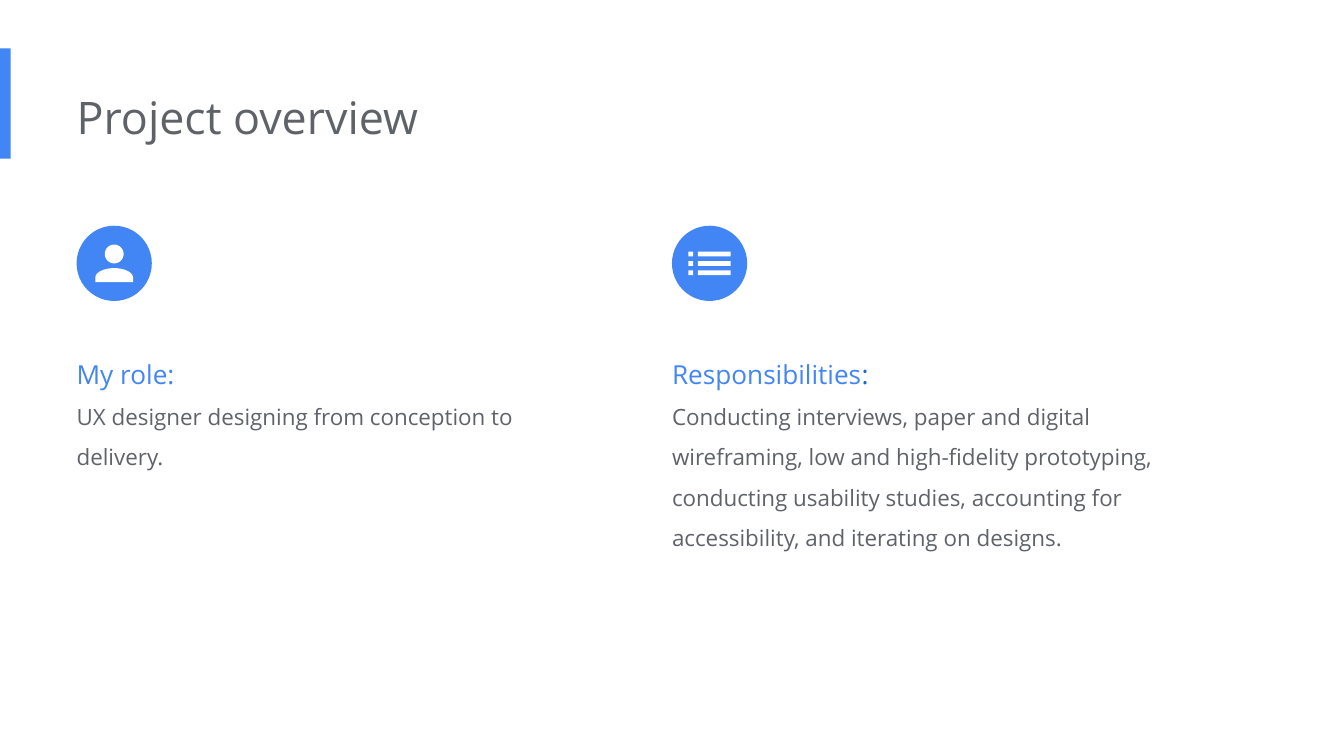
import math

import pptx
import pptx.dml.color
import pptx.enum.shapes
import pptx.enum.text
import pptx.util
from lxml import etree

COLORS = {"blue": "4285F4", "deep_blue": "1967D2", "gray": "5F6368", "white": "FFFFFF"}
FONT = "Open Sans"
SLIDE_W = 10
SLIDE_H = SLIDE_W * 9 / 16
MARGIN = 0.57
COLUMN_LEFTS = (MARGIN, SLIDE_W / 2)
COLUMN_W = 3.77
ICON_TOP, ICON_SIZE, ICON_GRID = 1.68, 0.56, 32
TEXT_TOP = 2.45
DRAWING_NS = "http://schemas.openxmlformats.org/drawingml/2006/main"


def inches(*lengths):
    """Convert several lengths in inches."""
    return [pptx.util.Inches(length) for length in lengths]


def rgb(color):
    """Look up a named colour."""
    return pptx.dml.color.RGBColor.from_string(COLORS[color])


def paint(shape, color):
    """Give a shape a flat fill without outline or shadow."""
    shape.fill.solid()
    shape.fill.fore_color.rgb = rgb(color)
    shape.line.fill.background()
    shape.shadow.inherit = False


def write(paragraph, text, size=12, color="gray", spacing=1.5):
    """Add a formatted run to an unbulleted, left-aligned paragraph."""
    properties = paragraph._p.get_or_add_pPr()
    if not len(properties):
        properties.set("marL", "0")
        properties.set("indent", "0")
        etree.SubElement(properties, f"{{{DRAWING_NS}}}buNone")
    paragraph.alignment = pptx.enum.text.PP_ALIGN.LEFT
    paragraph.line_spacing = spacing
    paragraph.space_before = pptx.util.Pt(0)
    run = paragraph.add_run()
    run.text = text
    run.font.name = FONT
    run.font.size = pptx.util.Pt(size)
    run.font.color.rgb = rgb(color)


def place(placeholder, left, top, width, height):
    """Move a placeholder and return its prepared text frame."""
    placeholder.left, placeholder.top, placeholder.width, placeholder.height = inches(
        left, top, width, height)
    frame = placeholder.text_frame
    frame.margin_left, frame.margin_top, frame.margin_right, frame.margin_bottom = inches(
        0, 0.1, 0.1, 0.1)
    frame.vertical_anchor = pptx.enum.text.MSO_ANCHOR.TOP
    frame.word_wrap = True
    frame.auto_size = pptx.enum.text.MSO_AUTO_SIZE.SHAPE_TO_FIT_TEXT
    return frame


def arc(center_x, center_y, radius_x, radius_y, start, end):
    """Return points along an elliptical arc given in degrees."""
    angles = [math.radians(angle) for angle in range(start, end + 1, 6)]
    return [(center_x + radius_x * math.cos(angle), center_y + radius_y * math.sin(angle))
            for angle in angles]


def person_outlines():
    """Return the head and shoulders on the icon grid."""
    head = arc(16, 12, 4, 4, 0, 360)
    shoulders = arc(16, 22, 8, 4, 180, 360) + [(24, 24), (8, 24)]
    return [head, shoulders]


def list_outlines():
    """Return three rows of marker and bar on the icon grid."""
    return [[(left, top), (right, top), (right, top + 2), (left, top + 2)]
            for top in (11, 15, 19) for left, right in ((7, 9), (11, 25))]


def add_icon(slide, left, top, size, outlines):
    """Draw a white glyph on a blue disc."""
    disc = slide.shapes.add_shape(
        pptx.enum.shapes.MSO_SHAPE.OVAL, *inches(left, top, size, size))
    paint(disc, "blue")
    contours = [[inches(left + x * size / ICON_GRID, top + y * size / ICON_GRID)
                 for x, y in outline] for outline in outlines]
    builder = slide.shapes.build_freeform(*contours[0][0])
    for number, contour in enumerate(contours):
        if number:
            builder.move_to(*contour[0])
        builder.add_line_segments(contour[1:], close=True)
    paint(builder.convert_to_shape(), "white")


def add_header(slide, left, top, width, height):
    """Place the accent bar and the slide title."""
    accent = slide.shapes.add_shape(
        pptx.enum.shapes.MSO_SHAPE.RECTANGLE, *inches(0, 0.36, 0.08, 0.82))
    paint(accent, "blue")
    title = place(slide.shapes.title, left, top, width, height)
    write(title.paragraphs[0], "Project overview", size=24, spacing=1)


def add_column(slide, body, left, height, heading, description, outlines):
    """Place one column with its icon, heading and description."""
    add_icon(slide, left, ICON_TOP, ICON_SIZE, outlines)
    frame = place(body, left, TEXT_TOP, COLUMN_W, height)
    for text, color in heading:
        write(frame.paragraphs[0], text, size=14, color=color)
    write(frame.add_paragraph(), description)


def main():
    """Build and save the project overview slide."""
    presentation = pptx.Presentation()
    presentation.slide_width, presentation.slide_height = inches(SLIDE_W, SLIDE_H)
    slide = presentation.slides.add_slide(
        presentation.slide_layouts.get_by_name("Two Content"))
    add_header(slide, MARGIN, 0.57, 6.73, 0.6)
    columns = (
        (1.15, [("My role:", "blue")],
         "UX designer designing from conception to delivery.", person_outlines()),
        (1.75, [("Responsibilities", "blue"), (":", "deep_blue")],
         "Conducting interviews, paper and digital wireframing, low and high-fidelity "
         "prototyping, conducting usability studies, accounting for accessibility, "
         "and iterating on designs.", list_outlines()),
    )
    bodies = list(slide.placeholders)[1:]
    for body, left, column in zip(bodies, COLUMN_LEFTS, columns):
        add_column(slide, body, left, *column)
    presentation.save("out.pptx")


if __name__ == "__main__":
    main()
